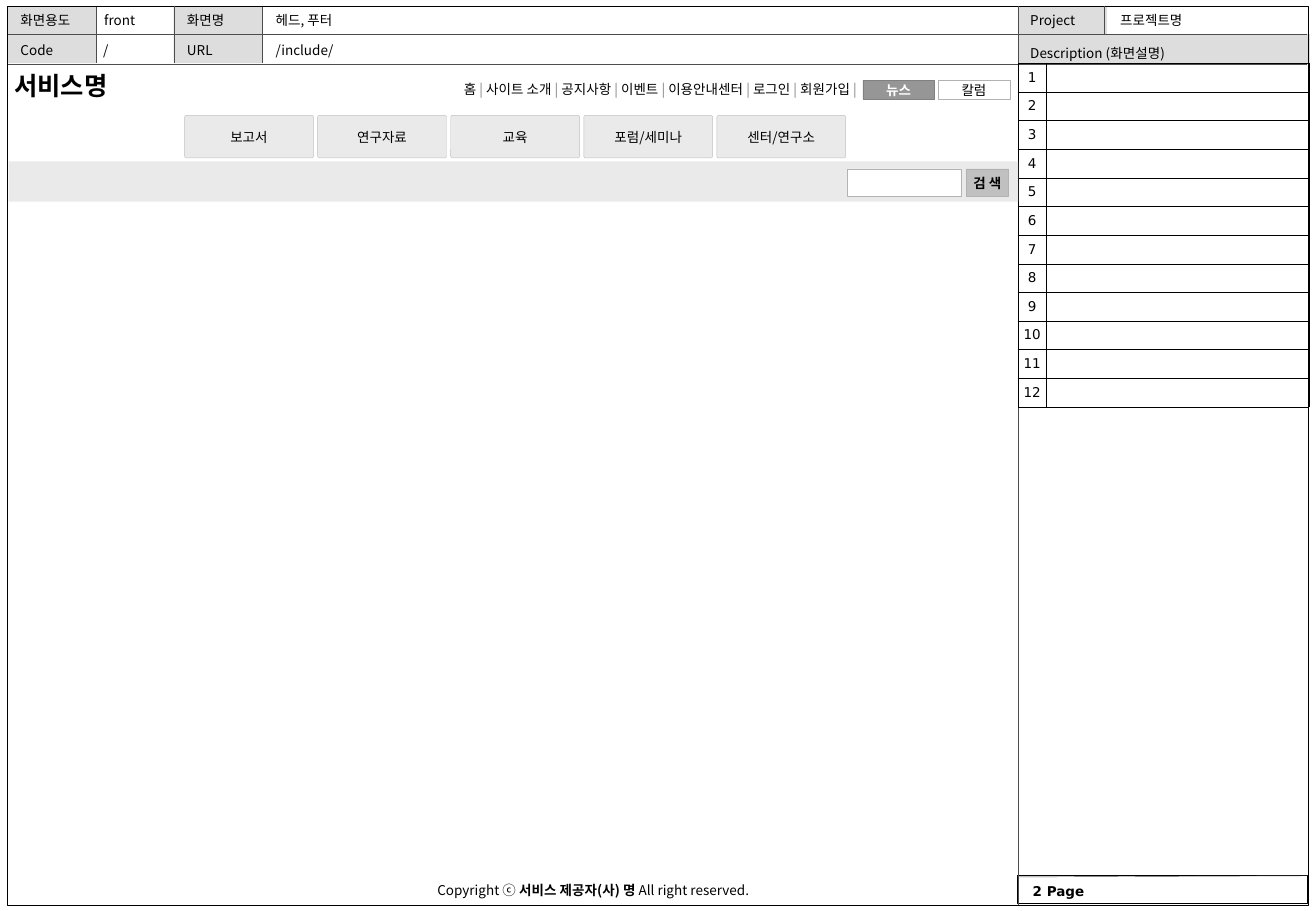
from lxml.etree import SubElement
from pptx import Presentation
from pptx.dml.color import RGBColor
from pptx.enum.shapes import MSO_CONNECTOR, MSO_SHAPE
from pptx.enum.text import MSO_ANCHOR, MSO_AUTO_SIZE, PP_ALIGN
from pptx.oxml.ns import qn
from pptx.util import Inches, Pt

KOREAN, LATIN = "Noto Sans CJK KR", "DejaVu Sans"
BLACK, GREY, LABEL, PALE = "000000", "808080", "DDDDDD", "EAEAEA"
RULE, BORDER, BUTTON = "4D4D4D", "B2B2B2", "C0C0C0"
HAIRLINE = 0.25

HEADER_LABELS = [(0.06, ["화면용도", "Code"]), (1.43, ["화면명", "URL"])]
HEADER_VALUES = [
    (0.76, 0.05, "front"), (0.75, 0.3, "/"), (2.17, 0.3, "/include/"),
]
FRAME_RULES = [
    (9.09, 0.05, 9.09, 0.28), (8.38, 0.05, 8.38, 7.45),
    (8.37, 7.22, 10.76, 7.21), (1.43, 0.05, 1.43, 0.52),
]
FULL_RULES = [(0.07, y, 10.76, y) for y in (0.28, 0.53)]
TOP_LINKS = ["홈", "사이트 소개", "공지사항", "이벤트", "이용안내센터", "로그인", "회원가입"]
MENU = ["보고서", "연구자료", "교육", "포럼/세미나", "센터/연구소"]
MENU_LEFT, MENU_STEP = 1.52, 1.095
COPYRIGHT = [
    ("Copyright ⓒ ", {}), ("서비스 제공자(사) 명", {"bold": True}),
    (" All right reserved.", {}),
]
DESCRIPTION_ROWS = 12

prs = Presentation()
prs.slide_width, prs.slide_height = Inches(10.83), Inches(7.5)
s = prs.slides.add_slide(prs.slide_layouts[6])


def rgb(value):
    return RGBColor.from_string(value)


def write(tf, lines, size=8, font=KOREAN, color=BLACK, bold=False,
          align=PP_ALIGN.LEFT, anchor=MSO_ANCHOR.TOP, wrap=False, grow=False,
          before=0, spacing=()):
    """Fill a text frame; a line is a string or a list of (text, format) runs."""
    tf.word_wrap = wrap
    tf.vertical_anchor = anchor
    if grow:
        tf.auto_size = MSO_AUTO_SIZE.SHAPE_TO_FIT_TEXT
    for i, line in enumerate(lines):
        p = tf.paragraphs[0] if i == 0 else tf.add_paragraph()
        p.alignment = align
        if before:
            p.space_before = Pt(before)
        if i < len(spacing):
            p.line_spacing = spacing[i]
        for text, extra in [(line, {})] if isinstance(line, str) else line:
            r = p.add_run()
            r.text = text
            r.font.size, r.font.name = Pt(size), font
            r.font.bold = extra.get("bold", bold)
            r.font.color.rgb = rgb(extra.get("color", color))
            SubElement(r.font._element, qn("a:ea"), typeface=font)


def label(x, y, w, h, lines, **fmt):
    sp = s.shapes.add_textbox(Inches(x), Inches(y), Inches(w), Inches(h))
    write(sp.text_frame, lines, **fmt)


def box(x, y, w, h, fill=None, line=None, text=None, kind=MSO_SHAPE.RECTANGLE, **fmt):
    sp = s.shapes.add_shape(kind, Inches(x), Inches(y), Inches(w), Inches(h))
    sp.shadow.inherit = False
    if fill:
        sp.fill.solid()
        sp.fill.fore_color.rgb = rgb(fill)
    else:
        sp.fill.background()
    if line:
        sp.line.color.rgb, sp.line.width = rgb(line), Pt(HAIRLINE)
    else:
        sp.line.fill.background()
    if text:
        write(sp.text_frame, [text], align=PP_ALIGN.CENTER,
              anchor=MSO_ANCHOR.MIDDLE, **fmt)
    return sp


def rule(*ends):
    c = s.shapes.add_connector(MSO_CONNECTOR.STRAIGHT, *map(Inches, ends))
    c.line.color.rgb, c.line.width = rgb(RULE), Pt(HAIRLINE)
    SubElement(c._element.spPr, qn("a:effectLst"))


def format_cell(cell):
    """Give a cell no fill and a black hairline on every side."""
    tcPr = cell._tc.get_or_add_tcPr()
    for side in ("lnL", "lnR", "lnT", "lnB"):
        ln = SubElement(tcPr, qn(f"a:{side}"), w=str(Pt(HAIRLINE)))
        fill = SubElement(ln, qn("a:solidFill"))
        SubElement(fill, qn("a:srgbClr"), val=BLACK)
    cell.fill.background()
    cell.margin_left = cell.margin_right = Inches(0.04)
    cell.margin_top = cell.margin_bottom = Inches(0.04)


# Frame and header
box(8.38, 0.28, 2.4, 0.25, LABEL)
box(8.38, 0.05, 0.73, 0.23, LABEL)
label(8.38, 0.05, 0.72, 0.24, ["Project"], before=1.6)
label(8.38, 0.28, 1.6, 0.24, ["Description (화면설명)"], before=1.6,
      spacing=[1.6], anchor=MSO_ANCHOR.MIDDLE)
label(9.12, 0.05, 0.72, 0.24, ["프로젝트명"], before=1.6)
for x, lines in HEADER_LABELS:
    box(x, 0.05, 0.73, 0.47, LABEL)
    label(x + 0.01, 0.05, 0.72, 0.24, lines, before=1.6, spacing=[1.0, 1.7])
    rule(x + 0.73, 0.05, x + 0.73, 0.52)
label(8.4, 7.22, 0.75, 0.22, ["2 Page"], font=LATIN, bold=True, grow=True)
box(8.37, 7.21, 2.39, 0.23, line=BLACK)
box(0.06, 0.05, 10.71, 7.4, line=BLACK)
for ends in FRAME_RULES + FULL_RULES:
    rule(*ends)
for x, y, text in HEADER_VALUES:
    label(x, y, 0.9, 0.23, [text])
label(2.17, 0.02, 2.74, 0.29, ["헤드, 푸터"], anchor=MSO_ANCHOR.MIDDLE, wrap=True)

# Description table
frame = s.shapes.add_table(DESCRIPTION_ROWS, 2, Inches(8.38), Inches(0.52),
                           Inches(2.39), Inches(2.83))
table = frame.table
table.first_row = table.horz_banding = False
for column, width in zip(table.columns, (0.23, 2.16)):
    column.width = Inches(width)
for n, row in enumerate(table.rows, 1):
    number, note = row.cells
    for cell in row.cells:
        format_cell(cell)
    write(number.text_frame, [str(n)], font=LATIN, align=PP_ALIGN.CENTER, wrap=True)
    number.vertical_anchor = MSO_ANCHOR.MIDDLE
    end = SubElement(note.text_frame.paragraphs[0]._p, qn("a:endParaRPr"), sz="800")
    SubElement(end, qn("a:latin"), typeface=LATIN)

# Page body
label(3.5, 7.21, 2.99, 0.24, [COPYRIGHT], grow=True)
box(0.07, 1.33, 8.31, 0.33, PALE)
label(0.02, 0.53, 1.03, 0.35, ["서비스명"], size=15, bold=True, grow=True)
links = []
for i, name in enumerate(TOP_LINKS):
    links += [(f" {name} " if i else f"{name} ", {}), ("|", {"color": GREY})]
label(2.69, 0.62, 4.46, 0.23, [links], align=PP_ALIGN.RIGHT, wrap=True, grow=True)
for i, name in enumerate(MENU):
    sp = box(MENU_LEFT + i * MENU_STEP, 0.95, 1.06, 0.35, PALE, BUTTON, name,
             kind=MSO_SHAPE.ROUNDED_RECTANGLE)
    sp.adjustments[0] = 0.04
box(7.1, 0.66, 0.59, 0.16, "969696", GREY, "뉴스", color="FFFFFF", bold=True)
box(7.72, 0.66, 0.59, 0.16, None, BORDER, "칼럼")
box(6.97, 1.39, 0.94, 0.23, "FFFFFF", BORDER)
box(7.95, 1.39, 0.35, 0.23, BUTTON, BORDER, "검 색", bold=True)

prs.save("out.pptx")
